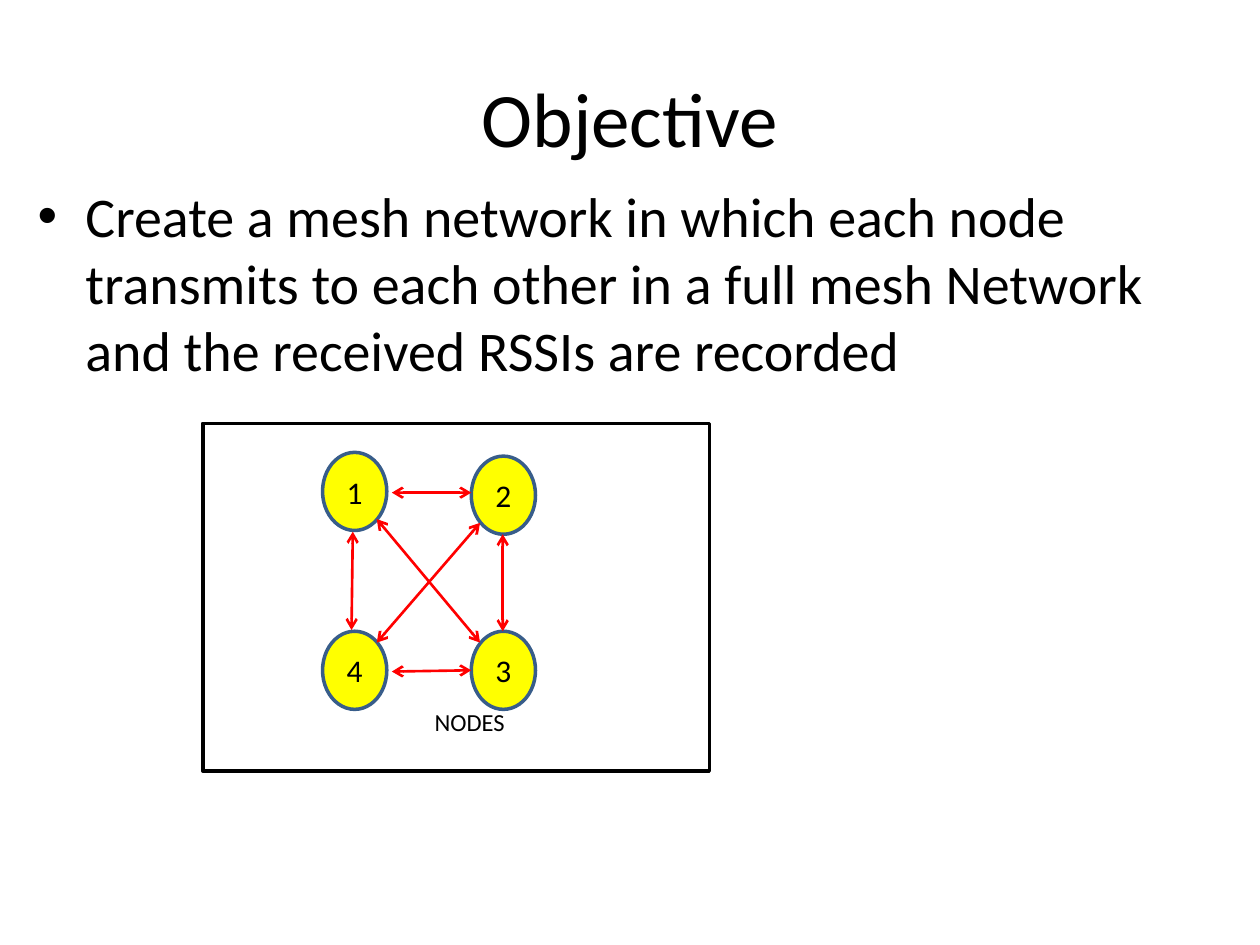
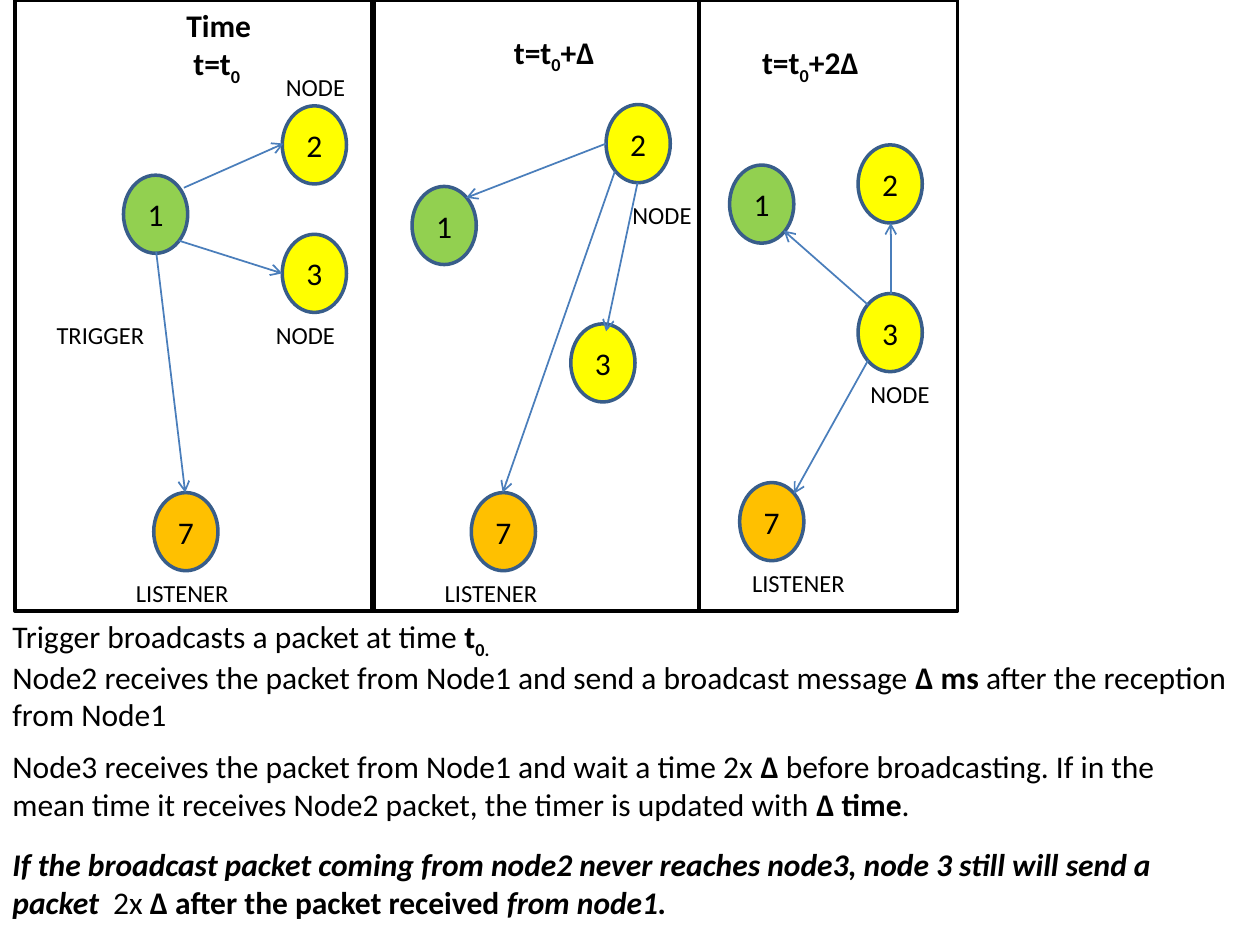
import pptx
import pptx.util
import pptx.dml.color
import pptx.enum.shapes
import pptx.enum.text
import pptx.oxml.ns
from lxml import etree

Inches = pptx.util.Inches
Pt = pptx.util.Pt
FONT = "Calibri"
COLORS = {
    "text": "000000", "frame": "000000", "rim": "385D8A",
    "node": "FFFF00", "trigger": "92D050", "listener": "FFC000",
    "mesh": "FF0000", "send": "4A7EBB",
}
NODE_W, NODE_H = 0.51, 0.62
LABEL_H = 0.34
PANEL_H = 4.85
ROLES = {"1": "trigger", "7": "listener"}

OBJECTIVE = ("Create a mesh network in which each node transmits to each other "
             "in a full mesh Network and the received RSSIs are recorded")

MESH = {
    "frame": (1.61, 3.36, 4.02, 2.76),
    "nodes": [("1", 2.56, 3.59), ("2", 3.74, 3.62), ("3", 3.74, 5.01), ("4", 2.56, 5.01)],
    "labels": [("NODES", 3.35, 5.56, 0.79)],
    "links": [
        (3.99, 5.01, 3.99, 4.24), (3.11, 5.33, 3.74, 5.32),
        (3.11, 3.91, 3.74, 3.91), (2.79, 5.0, 2.8, 4.22),
        (3.81, 5.1, 2.99, 4.12), (2.99, 5.1, 3.81, 4.15),
    ],
}

PANELS = [
    {
        "left": 0.12, "width": 2.85,
        "heading": (1.38, 0, 0.82, 0.74),
        "time": [[("Time", "b")], [(" t=t", "b"), ("0", "bs")]],
        "nodes": [("1", 0.98, 1.39), ("2", 2.24, 0.84), ("3", 2.24, 1.86), ("7", 1.22, 3.91)],
        "labels": [("TRIGGER", 0.35, 2.49, 0.95), ("NODE", 2.17, 0.52, 0.71),
                   ("NODE", 2.09, 2.49, 0.79), ("LISTENER", 0.98, 4.54, 0.95)],
        "links": [(1.46, 1.49, 2.25, 1.14), (1.42, 1.91, 2.24, 2.17), (1.24, 2.0, 1.47, 3.91)],
    },
    {
        "left": 2.95, "width": 2.6,
        "heading": (3.98, 0.21, 0.89, 0.44),
        "time": [[("t=t", "b"), ("0", "bs"), ("+Δ", "b")]],
        "nodes": [("1", 3.27, 1.48), ("2", 4.81, 0.83), ("3", 4.53, 2.57), ("7", 3.74, 3.91)],
        "labels": [("LISTENER", 3.43, 4.54, 0.95), ("NODE", 4.92, 1.54, 0.71)],
        "links": [(4.81, 1.14, 3.7, 1.57), (5.06, 1.45, 4.81, 2.63), (4.88, 1.36, 3.99, 3.91)],
    },
    {
        "left": 5.55, "width": 2.05,
        "heading": (5.95, 0.29, 1.1, 0.44),
        "time": [[("t=t", "b"), ("0", "bs"), ("+2Δ", "b")]],
        "nodes": [("1", 5.79, 1.31), ("2", 6.81, 1.15), ("3", 6.81, 2.33), ("7", 5.87, 3.83)],
        "labels": [("LISTENER", 5.87, 4.46, 0.95), ("NODE", 6.81, 2.96, 0.79)],
        "links": [(7.07, 2.33, 7.07, 1.77), (6.89, 2.86, 6.3, 3.92), (6.89, 2.42, 6.22, 1.83)],
    },
]

STEPS = [
    ((0, 4.85, 9.65, 0.44),
     [("Trigger broadcasts a packet at time ", ""), ("t", "b"), ("0.", "bs")]),
    ((0, 5.17, 9.88, 0.7),
     [("Node2 receives the packet from Node1 and send a broadcast message ", ""),
      ("Δ ms", "b"), (" after the reception from Node1", "")]),
    ((0, 5.88, 9.88, 0.7),
     [("Node3 receives the packet from Node1 and wait a time 2x", ""), (" Δ ", "b"),
      ("before broadcasting. If in the mean time it receives Node2 packet, "
       "the timer is updated with ", ""), ("Δ time", "b"), (".", "")]),
    ((0, 6.66, 9.88, 0.7),
     [("If the broadcast packet coming from node2 never reaches node3, "
       "node 3 still will send a packet ", "bi"), (" 2x", ""),
      (" Δ after the packet received ", "b"), ("from node1.", "bi")]),
]


def rgb(name):
    return pptx.dml.color.RGBColor.from_string(COLORS[name])


def write(sp, text, size=18, center=False, middle=False, bullet=False):
    paragraphs = [[(text, "")]] if isinstance(text, str) else text
    tf = sp.text_frame
    tf.word_wrap = True
    anchor = pptx.enum.text.MSO_ANCHOR
    tf.vertical_anchor = anchor.MIDDLE if middle else anchor.TOP
    align = pptx.enum.text.PP_ALIGN
    for i, runs in enumerate(paragraphs):
        p = tf.add_paragraph() if i else tf.paragraphs[0]
        p.alignment = align.CENTER if center else align.LEFT
        if bullet:
            p.space_before = Pt(8)
            pPr = p._p.get_or_add_pPr()
            pPr.set("marL", str(Inches(0.38)))
            pPr.set("indent", str(-Inches(0.38)))
            etree.SubElement(pPr, pptx.oxml.ns.qn("a:buFont")).set("typeface", "Arial")
            etree.SubElement(pPr, pptx.oxml.ns.qn("a:buChar")).set("char", "•")
        for words, style in runs:
            r = p.add_run()
            r.text = words
            r.font.name = FONT
            r.font.size = Pt(size)
            r.font.bold = "b" in style
            r.font.italic = "i" in style
            r.font.color.rgb = rgb("text")
            if "s" in style:
                r._r.get_or_add_rPr().set("baseline", "-25000")


def add_text(shapes, box, text, **fmt):
    write(shapes.add_textbox(*map(Inches, box)), text, **fmt)


def add_outlined(shapes, kind, box, line, fill=None):
    sp = shapes.add_shape(kind, *map(Inches, box))
    sp.shadow.inherit = False
    if fill:
        sp.fill.solid()
        sp.fill.fore_color.rgb = rgb(fill)
    else:
        sp.fill.background()
    sp.line.color.rgb = rgb(line)
    sp.line.width = Pt(2)
    return sp


def add_arrow(shapes, ends, color, width, both=False):
    cxn = shapes.add_connector(pptx.enum.shapes.MSO_CONNECTOR.STRAIGHT, *map(Inches, ends))
    cxn.line.color.rgb = rgb(color)
    cxn.line.width = Pt(width)
    ln = cxn.line._get_or_add_ln()
    for tag in ("a:headEnd", "a:tailEnd") if both else ("a:tailEnd",):
        etree.SubElement(ln, pptx.oxml.ns.qn(tag)).set("type", "arrow")
    etree.SubElement(cxn._element.spPr, pptx.oxml.ns.qn("a:effectLst"))


def add_diagram(shapes, diagram, frame, roles, color, width, both=False):
    kinds = pptx.enum.shapes.MSO_SHAPE
    add_outlined(shapes, kinds.RECTANGLE, frame, "frame")
    for number, x, y in diagram["nodes"]:
        sp = add_outlined(shapes, kinds.OVAL, (x, y, NODE_W, NODE_H), "rim",
                          roles.get(number, "node"))
        write(sp, number, center=True, middle=True)
    for ends in diagram["links"]:
        add_arrow(shapes, ends, color, width, both)
    for word, x, y, w in diagram["labels"]:
        add_text(shapes, (x, y, w, LABEL_H), word, size=14)


def build_objective(shapes):
    add_text(shapes, (0.5, 0.3, 9, 1.25), "Objective", size=44, center=True, middle=True)
    add_text(shapes, (0.2, 1.39, 9.3, 1.89), OBJECTIVE, size=32, bullet=True)
    add_diagram(shapes, MESH, MESH["frame"], {}, "mesh", 1.5, both=True)


def build_timeline(shapes):
    for panel in PANELS:
        group = shapes.add_group_shape().shapes
        frame = (panel["left"], 0, panel["width"], PANEL_H)
        add_diagram(group, panel, frame, ROLES, "send", 1)
        add_text(group, panel["heading"], panel["time"])
    for box, runs in STEPS:
        add_text(shapes, box, [runs])


def main():
    prs = pptx.Presentation()
    prs.slide_width, prs.slide_height = Inches(10), Inches(7.5)
    for build in (build_objective, build_timeline):
        build(prs.slides.add_slide(prs.slide_layouts[6]).shapes)
    prs.save("out.pptx")


if __name__ == "__main__":
    main()
